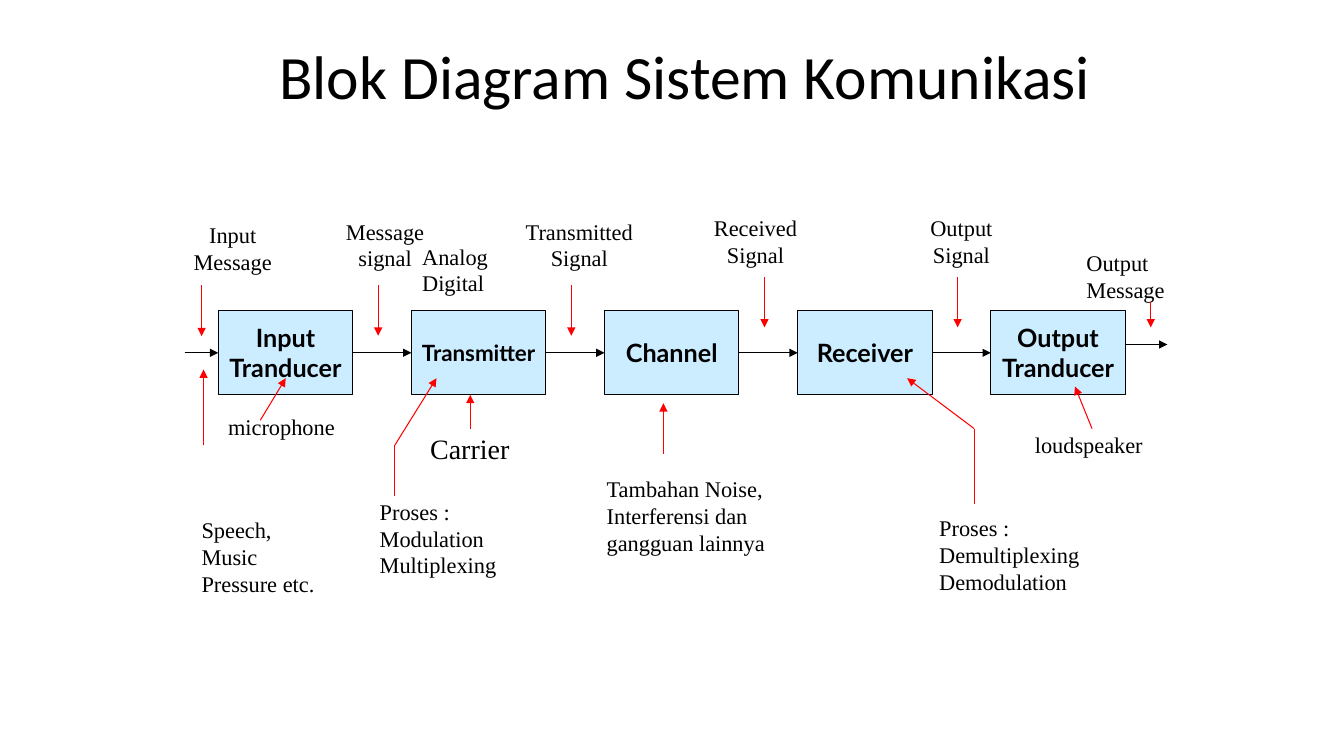
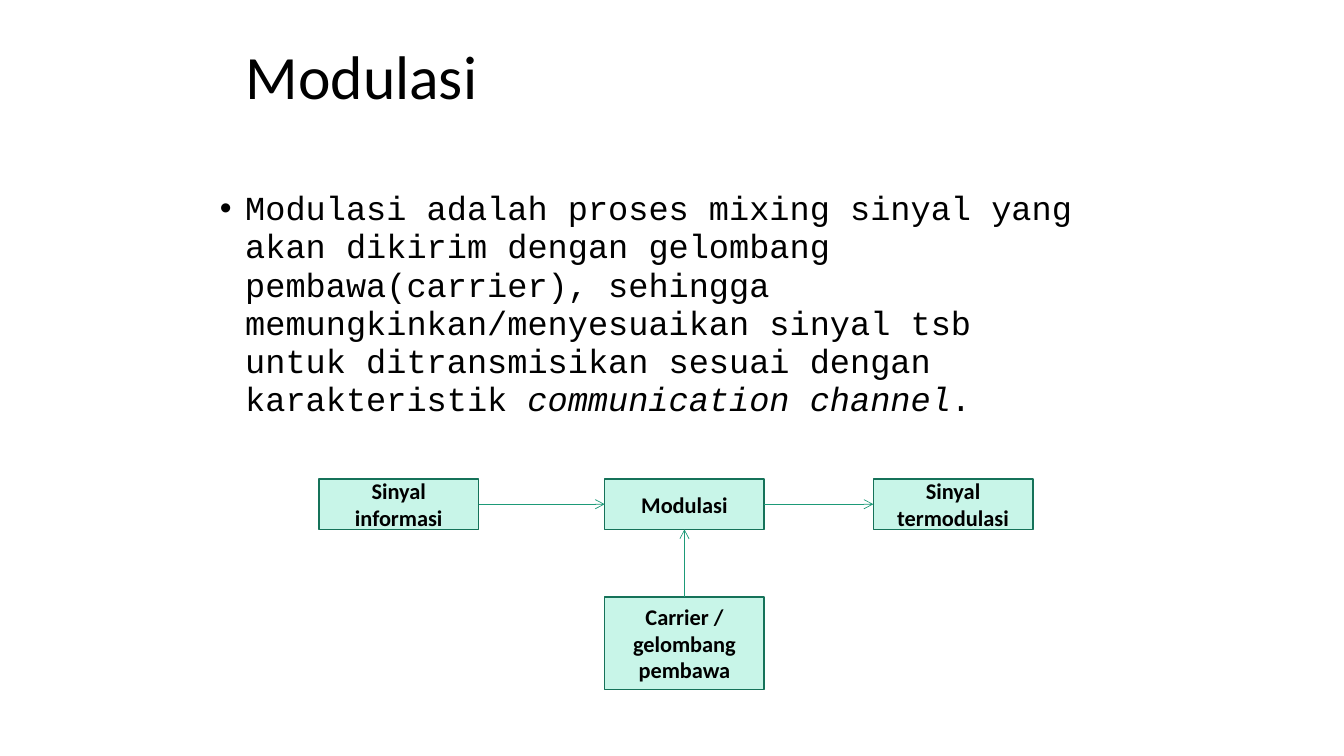
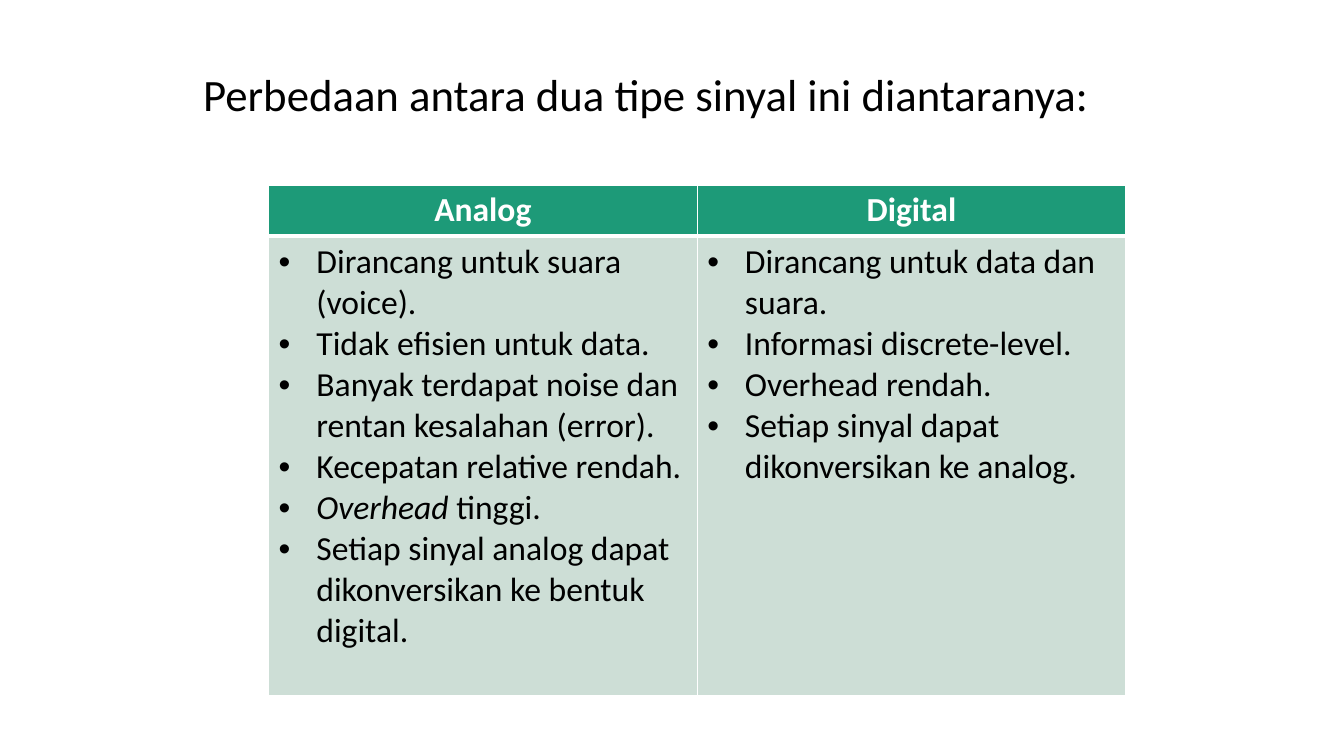
from dataclasses import dataclass
from itertools import pairwise

from lxml import etree
from pptx import Presentation
from pptx.dml.color import RGBColor
from pptx.enum.shapes import MSO_CONNECTOR, MSO_SHAPE
from pptx.enum.text import MSO_ANCHOR, PP_ALIGN
from pptx.oxml.ns import qn
from pptx.util import Cm, Pt

LEFT, CENTER = PP_ALIGN.LEFT, PP_ALIGN.CENTER
TOP, MIDDLE = MSO_ANCHOR.TOP, MSO_ANCHOR.MIDDLE
RECTANGLE = MSO_SHAPE.RECTANGLE
STRAIGHT = MSO_CONNECTOR.STRAIGHT
SITE_TOP, SITE_LEFT, SITE_BOTTOM, SITE_RIGHT = range(4)


@dataclass(frozen=True)
class Theme:
    ink: str = "000000"
    paper: str = "FFFFFF"
    block_fill: str = "CCECFF"
    pointer: str = "FF0000"
    step_fill: str = "C8F5E8"
    step_line: str = "157259"
    accent: str = "1D9A78"
    table_fill: str = "CDDED6"
    main_font: str = "Calibri"
    block_font: str = "Lato"
    label_font: str = "Times New Roman"
    code_font: str = "Courier New"
    title_size: float = 44
    subtitle_size: float = 32
    body_size: float = 24
    carrier_size: float = 20
    block_size: float = 18
    label_size: float = 16
    thin: float = 0.5
    line: float = 0.75
    edge: float = 1
    rule: float = 3


@dataclass(frozen=True)
class Box:
    """An area in centimetres."""
    left: float
    top: float
    width: float
    height: float

    def inner(self, left, top, width, height):
        """Area whose corner is given relative to this one."""
        return Box(self.left + left, self.top + top, width, height)

    def lengths(self):
        return [Cm(value) for value in (self.left, self.top, self.width, self.height)]


THEME = Theme()
TITLE_BOX = Box(5.94, 0.64, 22.66, 2.74)


def rgb(color):
    return RGBColor.from_string(color)


def add_bullet(para, indent):
    properties = para._p.get_or_add_pPr()
    properties.set("marL", str(Cm(indent)))
    properties.set("indent", str(-Cm(indent)))
    etree.SubElement(properties, qn("a:buFont")).set("typeface", "Arial")
    etree.SubElement(properties, qn("a:buChar")).set("char", "•")


def write(frame, paragraphs, font=THEME.main_font, size=THEME.label_size, color=THEME.ink,
          bold=False, align=LEFT, spacing=None, indent=None):
    """Fill a frame; a paragraph is a string or a list of (text, italic) spans."""
    for index, content in enumerate(paragraphs):
        para = frame.add_paragraph() if index else frame.paragraphs[0]
        para.alignment = align
        if spacing:
            para.line_spacing = spacing
        if indent:
            add_bullet(para, indent)
        spans = [(content, False)] if isinstance(content, str) else content
        for text, italic in spans:
            span = para.add_run()
            span.text = text
            span.font.name = font
            span.font.size = Pt(size)
            span.font.bold = bold
            span.font.italic = italic
            span.font.color.rgb = rgb(color)


def add_text(page, box, paragraphs, wrap=True, anchor=TOP, **text_format):
    frame = page.shapes.add_textbox(*box.lengths()).text_frame
    frame.word_wrap = wrap
    frame.vertical_anchor = anchor
    write(frame, paragraphs, **text_format)


def add_title(page, text, box=TITLE_BOX, size=THEME.title_size, align=LEFT):
    add_text(page, box, [text], anchor=MIDDLE, size=size, align=align, spacing=0.9)


def add_block(page, box, paragraphs, fill, line, width, wrap=True, **text_format):
    block = page.shapes.add_shape(RECTANGLE, *box.lengths())
    block.shadow.inherit = False
    block.fill.solid()
    block.fill.fore_color.rgb = rgb(fill)
    block.line.color.rgb = rgb(line)
    block.line.width = Pt(width)
    block.text_frame.word_wrap = wrap
    block.text_frame.vertical_anchor = MIDDLE
    write(block.text_frame, paragraphs, bold=True, align=CENTER, **text_format)
    return block


def add_line(page, start=(0, 0), end=(0, 0), color=THEME.ink, width=THEME.line, head="triangle"):
    ends = [Cm(value) for value in (*start, *end)]
    line = page.shapes.add_connector(STRAIGHT, *ends)
    line.line.color.rgb = rgb(color)
    line.line.width = Pt(width)
    if head:
        etree.SubElement(line.line._get_or_add_ln(), qn("a:tailEnd")).set("type", head)
    etree.SubElement(line._element.spPr, qn("a:effectLst"))
    return line


def link(page, source, target, sites=(SITE_RIGHT, SITE_LEFT), **line_format):
    line = add_line(page, **line_format)
    line.begin_connect(source, sites[0])
    line.end_connect(target, sites[1])


def add_pointer(page, box, points):
    """Red path through points relative to the box, with a head at its last point."""
    places = [(box.left + x, box.top + y) for x, y in points]
    steps = list(pairwise(places))
    for index, (start, end) in enumerate(steps, 1):
        head = "triangle" if index == len(steps) else None
        add_line(page, start, end, color=THEME.pointer, head=head)


def add_block_row(page, box):
    width = 3.39
    names = [["Input", "Tranducer"], ["Transmitter"], ["Channel"], ["Receiver"],
             ["Output", "Tranducer"]]
    pitch = (box.width - width) / (len(names) - 1)
    blocks = []
    for index, name in enumerate(names):
        size = THEME.label_size if name == ["Transmitter"] else THEME.block_size
        blocks.append(add_block(
            page, box.inner(index * pitch, 0, width, box.height), name, THEME.block_fill,
            THEME.ink, THEME.line, wrap=False, font=THEME.block_font, size=size))
    for source, target in pairwise(blocks):
        link(page, source, target)

    middle, right = box.top + box.height / 2, box.left + box.width
    add_line(page, (box.left - 0.85, middle), (box.left, middle))
    add_line(page, (right, box.top + 0.85), (right + 1.06, box.top + 0.85))

    for index, top in enumerate((-0.64, -0.64, -0.85, -0.85)):
        x = index * pitch + width + 0.64
        add_pointer(page, box, [(x, top), (x, top + 1.27)])


def add_block_notes(page, box):
    """Labels and pointers around the row of blocks that fills the box."""
    signals = [
        (["Input", "Message"], -0.88, -2.37, 2.49),
        (["Message", "signal"], 2.96, -2.47, 2.49),
        (["Transmitted", "Signal"], 7.4, -2.47, 3.4),
        (["Received", "Signal"], 12.23, -2.55, 2.62),
        (["Output", "Signal"], 17.61, -2.55, 2.24),
    ]
    notes = [
        (["Output", "Message"], 21.63, -1.68, 2.49),
        (["Analog", "Digital"], 4.89, -1.84, 2.31),
        (["microphone"], 0, 2.46, 3.25),
        (["loudspeaker"], 20.33, 2.91, 3.28),
        (["Speech,", "Music", "Pressure etc."], -0.67, 5.05, 3.38),
        (["Proses :", "Modulation", "Multiplexing"], 3.82, 4.59, 3.51),
        (["Proses :", "Demultiplexing", "Demodulation"], 17.92, 5, 4.06),
    ]
    for group, align in ((signals, CENTER), (notes, LEFT)):
        for lines, left, top, width in group:
            height = 0.26 + 0.68 * len(lines)
            add_text(page, box.inner(left, top, width, height), lines, wrap=False,
                     font=THEME.label_font, align=align)
    add_text(page, box.inner(5.09, 2.91, 2.51, 1.09), ["Carrier"], wrap=False,
             font=THEME.label_font, size=THEME.carrier_size)
    add_text(page, box.inner(9.54, 4.03, 6.15, 2.29),
             ["Tambahan Noise, Interferensi dan gangguan lainnya"], font=THEME.label_font)

    pointers = [
        [(-0.42, -0.64), (-0.42, 0.64)],
        [(23.5, -0.21), (23.5, 0.42)],
        [(-0.37, 3.39), (-0.37, 1.48)],
        [(1.06, 2.76), (1.7, 1.7)],
        [(4.45, 4.66), (4.45, 3.39), (5.5, 1.7)],
        [(6.35, 2.97), (6.35, 2.12)],
        [(11.22, 3.6), (11.22, 2.33)],
        [(19.05, 4.87), (19.05, 2.97), (17.36, 1.7)],
        [(22.02, 2.97), (21.59, 1.91)],
    ]
    for points in pointers:
        add_pointer(page, box, points)


def add_modulation_flow(page, box):
    steps = [
        ("Sinyal informasi", 0, 0, 1.27),
        ("Modulasi", 7.2, 0, 1.27),
        ("Sinyal termodulasi", 13.97, 0, 1.27),
        ("Carrier / gelombang pembawa", 7.2, 2.97, 2.33),
    ]
    source, mixer, result, carrier = [
        add_block(page, box.inner(left, top, 4.02, height), [text], THEME.step_fill,
                  THEME.step_line, THEME.edge)
        for text, left, top, height in steps]
    look = {"color": THEME.accent, "width": THEME.thin, "head": "arrow"}
    link(page, source, mixer, **look)
    link(page, mixer, result, **look)
    link(page, carrier, mixer, sites=(SITE_TOP, SITE_BOTTOM), **look)


def style_cell(cell, fill, top, bottom):
    properties = cell._tc.get_or_add_tcPr()
    for side, width in (("L", THEME.edge), ("R", THEME.edge), ("T", top), ("B", bottom)):
        border = etree.SubElement(properties, qn(f"a:ln{side}"), w=str(Pt(width)))
        paint = etree.SubElement(border, qn("a:solidFill"))
        etree.SubElement(paint, qn("a:srgbClr")).set("val", THEME.paper)
    cell.fill.solid()
    cell.fill.fore_color.rgb = rgb(fill)


def add_comparison(page, box, columns):
    table = page.shapes.add_table(2, len(columns), *box.lengths()).table
    table.horz_banding = False
    header_height = 1.29
    table.rows[0].height = Cm(header_height)
    table.rows[1].height = Cm(box.height - header_height)
    for index, (heading, points) in enumerate(columns.items()):
        table.columns[index].width = Cm(box.width / len(columns))
        header, body = table.cell(0, index), table.cell(1, index)
        style_cell(header, THEME.accent, THEME.edge, THEME.rule)
        style_cell(body, THEME.table_fill, THEME.rule, THEME.edge)
        write(header.text_frame, [heading], size=THEME.body_size, color=THEME.paper,
              bold=True, align=CENTER)
        write(body.text_frame, points, size=THEME.body_size, indent=0.95)


def build_system_slide(page):
    add_title(page, "Blok Diagram Sistem Komunikasi", align=CENTER)
    row = Box(5.5, 7.83, 22.86, 2.12)
    add_block_row(page, row)
    add_block_notes(page, row)


def build_modulation_slide(page):
    add_title(page, "Modulasi")
    definition = [
        ("Modulasi adalah proses mixing sinyal yang akan dikirim dengan gelombang "
         "pembawa(carrier), sehingga memungkinkan/menyesuaikan sinyal tsb untuk "
         "ditransmisikan sesuai dengan karakteristik ", False),
        ("communication channel", True),
        (".", False),
    ]
    add_text(page, Box(5.29, 4.66, 22.22, 7.2), [definition], font=THEME.code_font,
             size=THEME.body_size, spacing=0.95, indent=0.64)
    add_modulation_flow(page, Box(8.04, 12.07, 17.99, 5.3))


def build_comparison_slide(page):
    add_title(page, "Perbedaan antara dua tipe sinyal ini diantaranya:",
              box=Box(4.87, 0.85, 24.76, 3.17), size=THEME.subtitle_size)
    add_comparison(page, Box(6.77, 4.66, 21.6, 12.87), {
        "Analog": [
            "Dirancang untuk suara (voice).",
            "Tidak efisien untuk data.",
            "Banyak terdapat noise dan rentan kesalahan (error).",
            "Kecepatan relative rendah.",
            [("Overhead ", True), ("tinggi.", False)],
            "Setiap sinyal analog dapat dikonversikan ke bentuk digital.",
        ],
        "Digital": [
            "Dirancang untuk data dan suara.",
            "Informasi discrete-level.",
            "Overhead rendah.",
            "Setiap sinyal dapat dikonversikan ke analog.",
        ],
    })


def main():
    deck = Presentation()
    deck.slide_width, deck.slide_height = Cm(33.87), Cm(19.05)
    blank = deck.slide_layouts[6]
    for build in (build_system_slide, build_modulation_slide, build_comparison_slide):
        build(deck.slides.add_slide(blank))
    deck.save("out.pptx")


if __name__ == "__main__":
    main()
